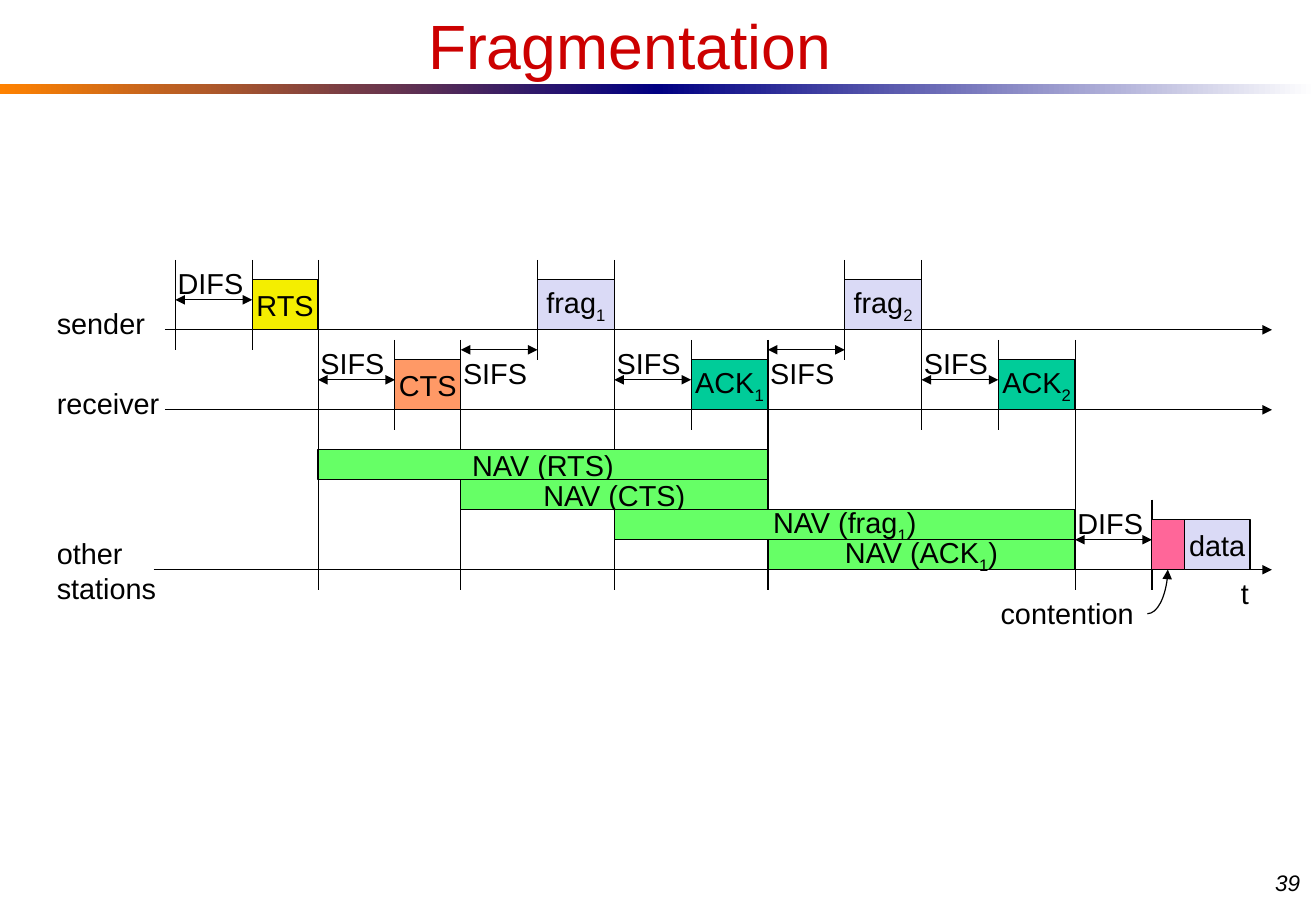
"""Build the slide on fragmentation with its timing diagram."""
from itertools import accumulate

from lxml.etree import SubElement
from pptx import Presentation
from pptx.dml.color import RGBColor
from pptx.enum.shapes import MSO_CONNECTOR, MSO_SHAPE
from pptx.enum.text import MSO_ANCHOR, MSO_AUTO_SIZE, PP_ALIGN
from pptx.oxml.ns import qn
from pptx.util import Cm, Pt

HUES = {
    "black": "000000", "white": "FFFFFF", "red": "CC0000", "orange": "FF8200",
    "navy": "000082", "lilac": "DADAF6", "teal": "00CC99", "yellow": "F4EE00",
    "peach": "FF9966", "pink": "FF6699", "green": "66FF66",
}
INK = {name: RGBColor.from_string(code) for name, code in HUES.items()}
FRAME = {
    "auto_size": MSO_AUTO_SIZE.NONE, "word_wrap": False,
    "margin_left": Cm(0.28), "margin_right": Cm(0.28),
    "margin_top": Cm(0.13), "margin_bottom": Cm(0.13),
}
FONT = {"name": "Arial", "size": Pt(18), "bold": False, "italic": False}
MID = {"vertical_anchor": MSO_ANCHOR.MIDDLE}
TOP = {"vertical_anchor": MSO_ANCHOR.TOP}

TIMES = list(accumulate([3.86, 1.69, 1.45, 1.69, 1.45] + [1.69] * 9))
ROWS = [5.72 + 0.22 * step for step in range(35)]

deck = Presentation()
deck.slide_width, deck.slide_height = Cm(28.96), Cm(19.81)
slide = deck.slides.add_slide(deck.slide_layouts[5])
shapes = slide.shapes


def write(shape, text, align, frame, font={}, hue="black"):
    """Fill a shape with lines of text, where _ toggles subscript."""
    body = shape.text_frame
    for key, value in {**FRAME, **frame}.items():
        setattr(body, key, value)
    for index, words in enumerate(text.split("\n")):
        para = body.add_paragraph() if index else body.paragraphs[0]
        para.alignment = align
        for part, piece in enumerate(words.split("_")):
            run = para.add_run()
            run.text = piece
            for key, value in {**FONT, **font}.items():
                setattr(run.font, key, value)
            run.font.color.rgb = INK[hue]
            if part % 2:
                run.font._element.set("baseline", "-25000")


def rule(x1, y1, x2, y2, heads=(), kind=MSO_CONNECTOR.STRAIGHT):
    """Draw a thin black line with arrowheads at the named ends."""
    line = shapes.add_connector(kind, Cm(x1), Cm(y1), Cm(x2), Cm(y2))
    line.line.width = Pt(0.75)
    line.line.color.rgb = INK["black"]
    for end in heads:
        SubElement(line.line._get_or_add_ln(), qn(f"a:{end}"), type="triangle")
    SubElement(line._element.spPr, qn("a:effectLst"))
    return line


for left, start, stop in [(0, "orange", "navy"), (14.48, "navy", "white")]:
    band = shapes.add_shape(MSO_SHAPE.RECTANGLE, Cm(left), Cm(1.85), Cm(14.48), Cm(0.23))
    band.shadow.inherit = False
    band.line.fill.background()
    band.fill.gradient()
    band.fill.gradient_angle = 0
    for point, hue in zip(band.fill.gradient_stops, (start, stop)):
        point.color.rgb = INK[hue]

title = shapes.title
place = {"left": Cm(0.71), "top": Cm(-0.25), "width": Cm(26.29), "height": Cm(2.64)}
for key, value in place.items():
    setattr(title, key, value)
write(title, "Fragmentation", PP_ALIGN.CENTER, {**MID, "word_wrap": True},
      {"size": Pt(39)}, "red")
title.text_frame.paragraphs[0].line_spacing = 0.93

for left, row in [(3.63, 7), (3.63, 15), (3.38, 31)]:
    rule(left, ROWS[row], 27.99, ROWS[row], ["tailEnd"])

SPANS = [
    (0, 9), (0, 9), (0, 33), (8, 17), (8, 33), (0, 10), (0, 33),
    (8, 17), (8, 33), (0, 10), (0, 17), (8, 17), (8, 33), (24, 33),
]
for time, (top, low) in zip(TIMES, SPANS):
    rule(time, ROWS[top], time, ROWS[low])

BOXES = [
    ("RTS", 1, 2, 2, 7, "yellow"),
    ("CTS", 3, 4, 10, 15, "peach"),
    ("frag_1", 5, 6, 2, 7, "lilac"),
    ("ACK_1", 7, 8, 10, 15, "teal"),
    ("frag_2", 9, 10, 2, 7, "lilac"),
    ("ACK_2", 11, 12, 10, 15, "teal"),
    ("NAV (RTS)", 2, 8, 19, 22, "green"),
    ("NAV (CTS)", 4, 8, 22, 25, "green"),
    ("NAV (frag_1_)", 6, 12, 25, 28, "green"),
    ("NAV (ACK_1_)", 8, 12, 28, 31, "green"),
]
blocks = [(text, TIMES[a], TIMES[b], top, low, hue)
          for text, a, b, top, low, hue in BOXES]
blocks += [("", TIMES[13], 26.06, 26, 31, "pink"),
           ("data", 26.06, 27.51, 26, 31, "lilac")]
for text, left, right, top, low, hue in blocks:
    box = shapes.add_shape(MSO_SHAPE.RECTANGLE, Cm(left), Cm(ROWS[top]),
                           Cm(right - left), Cm(ROWS[low] - ROWS[top]))
    box.shadow.inherit = False
    box.fill.solid()
    box.fill.fore_color.rgb = INK[hue]
    box.line.color.rgb = INK["black"]
    box.line.width = Pt(0.75)
    if text:
        write(box, text, PP_ALIGN.CENTER, MID)

labels = [
    ("sender", 0.97, ROWS[4], 2.51, 1.04),
    ("receiver", 0.97, ROWS[12], 2.82, 1.04),
    ("other\nstations", 0.97, ROWS[27], 2.74, 1.8),
    ("contention", 21.74, ROWS[33], 3.48, 1.04),
    ("t", 27.03, ROWS[31], 0.74, 1.04),
]
GAPS = [
    ("DIFS", 0, 4, 0), ("SIFS", 2, 12, 8), ("SIFS", 4, 9, 9),
    ("SIFS", 6, 12, 8), ("SIFS", 8, 9, 9), ("SIFS", 10, 12, 8),
    ("DIFS", 12, 28, 24),
]
for text, time, row, top in GAPS:
    rule(TIMES[time], ROWS[row], TIMES[time + 1], ROWS[row], ["headEnd", "tailEnd"])
    labels.append((text, TIMES[time] - 0.23, ROWS[top], 1.99, 1.04))
for text, left, top, width, height in labels:
    label = shapes.add_textbox(Cm(left), Cm(top), Cm(width), Cm(height))
    write(label, text, PP_ALIGN.LEFT, TOP)

curve = rule(25.25, 13.51, 25.7, ROWS[31], ["tailEnd"], MSO_CONNECTOR.CURVE)
curve._element.spPr.find(qn("a:prstGeom")).set("prst", "curvedConnector2")

page = shapes.add_textbox(Cm(27.81), Cm(19), Cm(1.14), Cm(0.86))
write(page, "39", PP_ALIGN.LEFT,
      {**TOP, "margin_left": Cm(0.25), "margin_right": Cm(0.25)},
      {"size": Pt(14), "italic": True})

deck.save("out.pptx")
